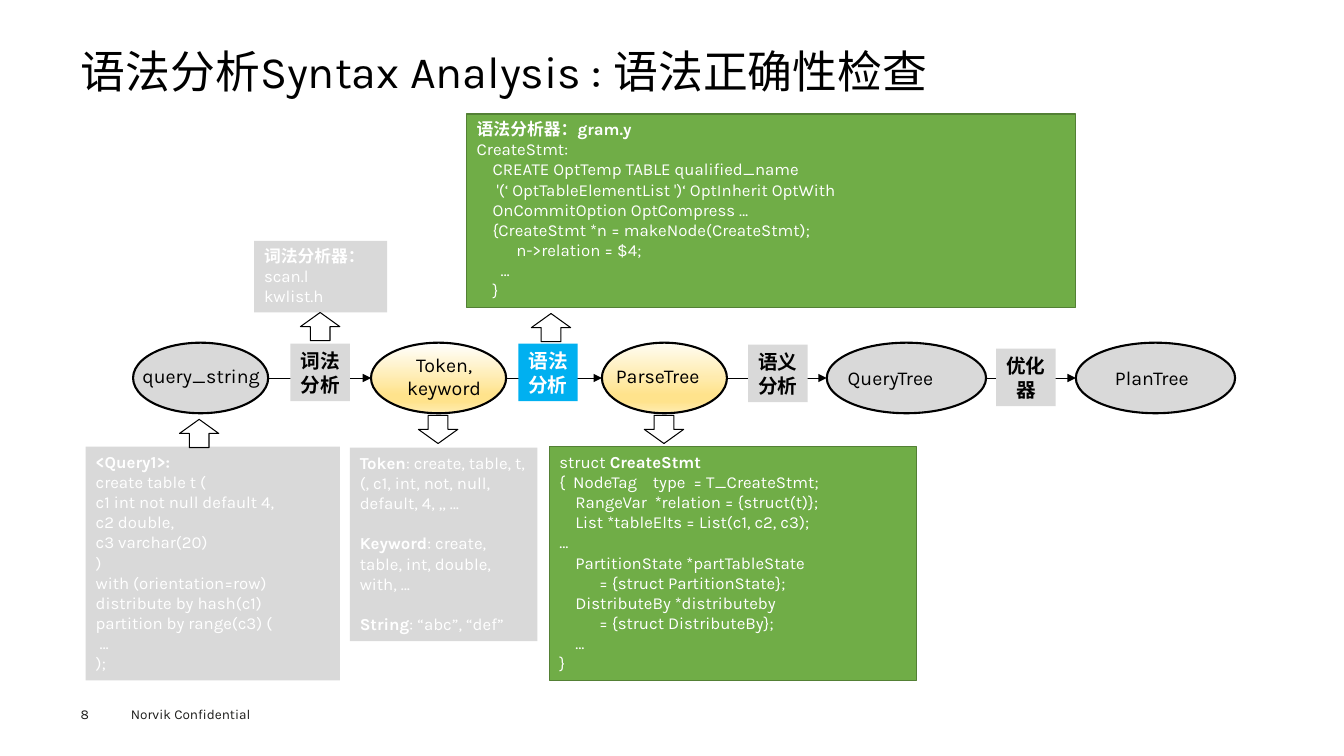
import copy
from dataclasses import dataclass

import pptx
import pptx.dml.color
import pptx.enum.shapes
import pptx.enum.text
import pptx.oxml.ns
import pptx.util
import lxml.etree

Inches = pptx.util.Inches
Pt = pptx.util.Pt
KIND = pptx.enum.shapes.MSO_SHAPE
ALIGN = pptx.enum.text.PP_ALIGN
ANCHOR = pptx.enum.text.MSO_ANCHOR
qn = pptx.oxml.ns.qn

HUES = {
    "black": "000000", "white": "FFFFFF", "grey": "D9D9D9", "green": "70AD47",
    "edge": "538035", "blue": "00B0F0", "ink": "1D1D1B", "cream": "FFFCF2",
    "gold": "FFE38C", "sand": "FFECB2",
}
MID = 3.75
NODE_H = 0.7
STEP = 0.59
ARROW_W, ARROW_H = 0.39, 0.28


@dataclass
class Node:
    left: float
    width: float
    label: str
    text_at: tuple
    align: object = ALIGN.LEFT
    top_hue: str = ""


@dataclass
class Step:
    left: float
    top: float
    label: str
    fill: str = "grey"
    ink: str = "black"


@dataclass
class Panel:
    box: tuple
    text: str
    fill: str = "grey"
    edge: str = ""
    gap: float = 0


@dataclass
class Arrow:
    left: float
    top: float
    turn: int = 0


NODES = [
    Node(1.32, 1.34, "query_string", (0.95, 3.56, 2.09, 0.34), ALIGN.CENTER),
    Node(3.68, 1.34, "Token, keyword", (3.73, 3.45, 1.35, 0.57), ALIGN.CENTER, "white"),
    Node(5.97, 1.24, "ParseTree", (6.01, 3.56, 1.22, 0.34), top_hue="cream"),
    Node(8.2, 1.58, "QueryTree", (8.31, 3.58, 1.24, 0.34)),
    Node(10.67, 1.58, "PlanTree", (10.96, 3.58, 1.08, 0.34)),
]
STEPS = [
    Step(2.88, 3.41, "词法分析"),
    Step(5.14, 3.41, "语法分析", "blue", "white"),
    Step(7.42, 3.42, "语义分析"),
    Step(9.88, 3.46, "优化器"),
]
ARROWS = [
    Arrow(1.78, 4.16, 180), Arrow(2.98, 3.1, 180), Arrow(5.27, 3.11, 180),
    Arrow(4.15, 4.12), Arrow(6.39, 4.12),
]
PANELS = [
    Panel((5.45, 4.43, 3.64, 2.32), """struct ^CreateStmt^
{  NodeTag    type  = T_CreateStmt;
    RangeVar  *relation = {struct(t)};
    List *tableElts = List(c1, c2, c3);
…
    PartitionState *partTableState
          = {struct PartitionState};
    DistributeBy *distributeby
          = {struct DistributeBy};
    …
}""", "green", "edge"),
    Panel((4.63, 1.13, 6.04, 1.92), """^语法分析器：gram.y^
CreateStmt:
    CREATE OptTemp TABLE qualified_name
     '(‘ OptTableElementList ')‘ OptInherit OptWith
    OnCommitOption OptCompress …
    {CreateStmt *n = makeNode(CreateStmt);
          n->relation = $4;
      …
    }""", "green", "edge"),
    Panel((0.85, 4.43, 2.52, 2.32), """^<Query1>:^
create table t (
c1 int not null default 4,
c2 double,
c3 varchar(20)
)
with (orientation=row)
distribute by hash(c1)
partition by range(c3) (
 …
);"""),
    Panel((3.47, 4.44, 1.86, 1.92), """^Token^: create, table, t, (, c1, int, not, null, default, 4, ,, …
^Keyword^: create, table, int, double, with, …
^String^: “abc”, “def”""", gap=14.4),
    Panel((2.52, 2.39, 1.32, 0.71), "^词法分析器：^\nscan.l\nkwlist.h"),
]


def tint(name: str) -> pptx.dml.color.RGBColor:
    return pptx.dml.color.RGBColor.from_string(HUES[name])


def write(shape, text: str, *, size: float = 14, hue: str = "black", bold: bool = False,
          align=ALIGN.LEFT, anchor=ANCHOR.TOP, pad: tuple = (0.1, 0.05),
          gap: float = 0, pitch: float = 0) -> None:
    frame = shape.text_frame
    frame.word_wrap = True
    frame.vertical_anchor = anchor
    frame.margin_left = frame.margin_right = Inches(pad[0])
    frame.margin_top = frame.margin_bottom = Inches(pad[1])
    for row, line in enumerate(text.split("\n")):
        para = frame.add_paragraph() if row else frame.paragraphs[0]
        para.alignment = align
        if row and gap:
            para.space_before = Pt(gap)
        if pitch:
            para.line_spacing = pitch
        for spot, part in enumerate(line.split("^")):
            if part:
                run = para.add_run()
                run.text = part
                run.font.name = "Karla"
                run.font.size = Pt(size)
                run.font.bold = bold or spot % 2 == 1
                run.font.color.rgb = tint(hue)


def label(slide, box: tuple, text: str, **style) -> None:
    write(slide.shapes.add_textbox(*map(Inches, box)), text, **style)


def draw(slide, kind, box: tuple, fill: str = "", edge: str = "", weight: float = 1):
    shape = slide.shapes.add_shape(kind, *map(Inches, box))
    shape.shadow.inherit = False
    if fill:
        shape.fill.solid()
        shape.fill.fore_color.rgb = tint(fill)
    else:
        shape.fill.background()
    if edge:
        shape.line.color.rgb = tint(edge)
        shape.line.width = Pt(weight)
    else:
        shape.line.fill.background()
    return shape


def blend(shape, top_hue: str) -> None:
    shape.fill.gradient()
    shape.fill.gradient_angle = 270
    stops = shape.fill._fill._gradFill.find(qn("a:gsLst"))
    for _ in range(2):
        stops.append(copy.deepcopy(stops[0]))
    for stop, place, hue in zip(shape.fill.gradient_stops, (0, 0.74, 0.83, 1),
                                (top_hue, "gold", "gold", "sand")):
        stop.position = place
        stop.color.rgb = tint(hue)


def link(slide, start: float, end: float) -> None:
    line = slide.shapes.add_connector(pptx.enum.shapes.MSO_CONNECTOR.STRAIGHT,
                                      Inches(start), Inches(MID), Inches(end), Inches(MID))
    line.line.color.rgb = tint("black")
    line.line.width = Pt(0.5)
    lxml.etree.SubElement(line.line._get_or_add_ln(), qn("a:tailEnd"), type="triangle")
    lxml.etree.SubElement(line._element.spPr, qn("a:effectLst"))


def main() -> None:
    deck = pptx.Presentation()
    deck.slide_width, deck.slide_height = Inches(13.33), Inches(7.5)
    slide = deck.slides.add_slide(deck.slide_layouts[6])

    label(slide, (0.8, 0.49, 11.73, 0.54), "语法分析Syntax Analysis : 语法正确性检查",
          size=32, pad=(0, 0), pitch=0.9)
    label(slide, (1.2, 6.95, 1.6, 0.27), "Norvik Confidential", size=9.7, hue="ink")
    label(slide, (0.8, 7, 0.55, 0.16), "8", size=9.7, hue="ink", pad=(0, 0))

    for node in NODES:
        oval = draw(slide, KIND.OVAL, (node.left, 3.4, node.width, NODE_H),
                    "grey", "black", 1.5)
        if node.top_hue:
            blend(oval, node.top_hue)
    for node, after in zip(NODES, NODES[1:]):
        link(slide, node.left + node.width, after.left)
    for node in NODES:
        label(slide, node.text_at, node.label, align=node.align)
    for step in STEPS:
        box = draw(slide, KIND.RECTANGLE, (step.left, step.top, STEP, 0.57), step.fill)
        write(box, step.label, hue=step.ink, bold=True, align=ALIGN.CENTER,
              anchor=ANCHOR.MIDDLE, pad=(0.09, 0.05))
    for panel in PANELS:
        box = draw(slide, KIND.RECTANGLE, panel.box, panel.fill, panel.edge)
        write(box, panel.text, size=12, hue="white", gap=panel.gap)
    for arrow in ARROWS:
        shape = draw(slide, KIND.DOWN_ARROW, (arrow.left, arrow.top, ARROW_W, ARROW_H),
                     edge="black", weight=0.75)
        shape.rotation = arrow.turn

    deck.save("out.pptx")


if __name__ == "__main__":
    main()
